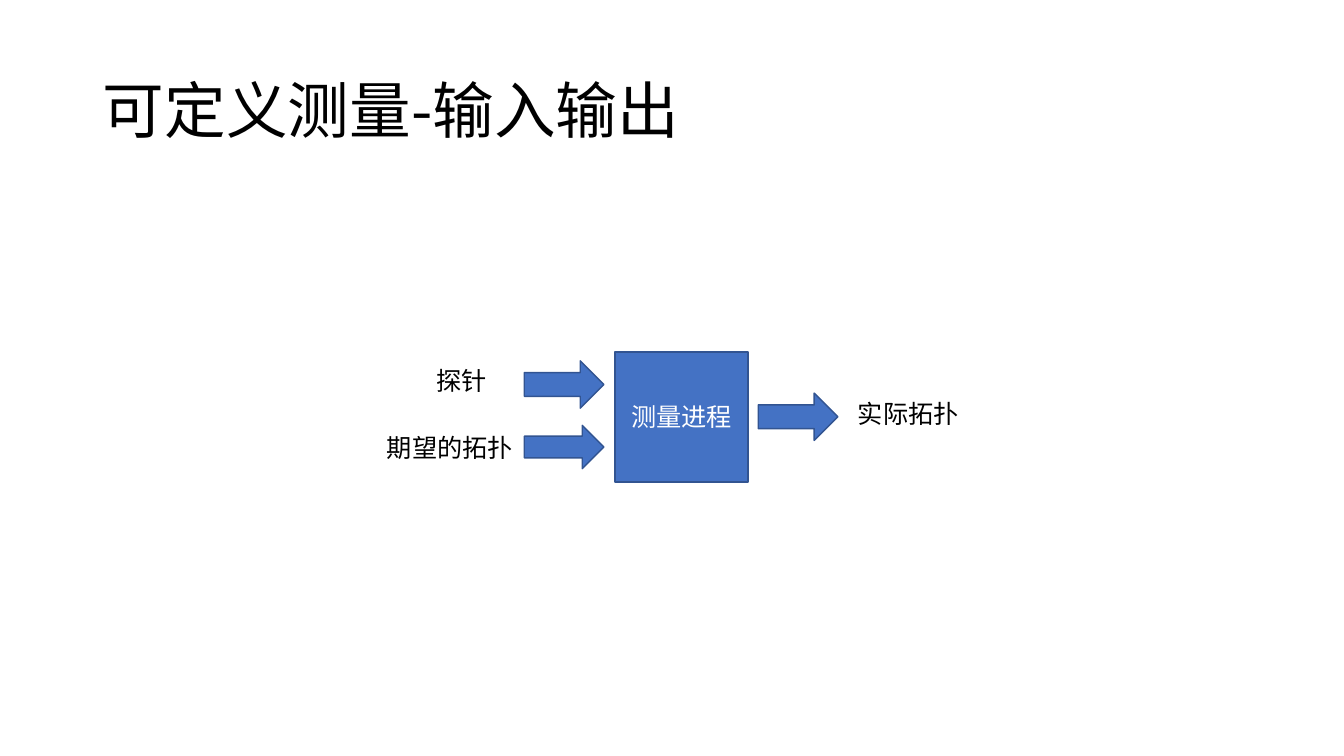
import pptx
import pptx.util
import pptx.dml.color
import pptx.enum.shapes
import pptx.enum.text
import pptx.oxml.ns
import lxml.etree

Inches = pptx.util.Inches
Pt = pptx.util.Pt
RGBColor = pptx.dml.color.RGBColor
MSO_SHAPE = pptx.enum.shapes.MSO_SHAPE
PP_ALIGN = pptx.enum.text.PP_ALIGN
MSO_ANCHOR = pptx.enum.text.MSO_ANCHOR
MSO_AUTO_SIZE = pptx.enum.text.MSO_AUTO_SIZE
qn = pptx.oxml.ns.qn

BLUE = RGBColor(0x44, 0x72, 0xC4)
DARK_BLUE = RGBColor(0x32, 0x54, 0x91)
BLACK = RGBColor(0, 0, 0)
WHITE = RGBColor(255, 255, 255)


class Diagram:
    font = "Noto Sans CJK SC"
    size = 18

    def __init__(self, slide):
        self.slide = slide

    def set_text(self, tf, text, color=BLACK, size=size, align=PP_ALIGN.LEFT):
        p = tf.paragraphs[0]
        p.text = text
        p.alignment = align
        p.font.size = Pt(size)
        p.font.color.rgb = color
        p.font.name = self.font
        # East Asian typeface
        ea = lxml.etree.SubElement(p._p.pPr.find(qn("a:defRPr")), qn("a:ea"))
        ea.set("typeface", self.font)
        return p

    def title(self, text, left, top, width, height):
        sp = self.slide.shapes.title
        sp.left, sp.top = Inches(left), Inches(top)
        sp.width, sp.height = Inches(width), Inches(height)
        tf = sp.text_frame
        tf.word_wrap = True
        tf.vertical_anchor = MSO_ANCHOR.MIDDLE
        self.set_text(tf, text, size=44).line_spacing = 0.9

    def shape(self, kind, left, top, width, height):
        sp = self.slide.shapes.add_shape(
            kind, Inches(left), Inches(top), Inches(width), Inches(height))
        sp.shadow.inherit = False
        sp.fill.solid()
        sp.fill.fore_color.rgb = BLUE
        sp.line.color.rgb = DARK_BLUE
        sp.line.width = Pt(1)
        return sp

    def box(self, text, left, top, width, height):
        tf = self.shape(MSO_SHAPE.RECTANGLE, left, top, width, height).text_frame
        tf.vertical_anchor = MSO_ANCHOR.MIDDLE
        self.set_text(tf, text, WHITE, align=PP_ALIGN.CENTER)

    def arrow(self, left, top, height=0.47):
        self.shape(MSO_SHAPE.RIGHT_ARROW, left, top, 0.79, height)

    def label(self, text, left, top, width):
        tf = self.slide.shapes.add_textbox(
            Inches(left), Inches(top), Inches(width), Inches(0.4)).text_frame
        tf.word_wrap = False
        tf.auto_size = MSO_AUTO_SIZE.SHAPE_TO_FIT_TEXT
        self.set_text(tf, text)


def main():
    prs = pptx.Presentation()
    prs.slide_width, prs.slide_height = Inches(13.33), Inches(7.5)
    s = Diagram(prs.slides.add_slide(prs.slide_layouts[5]))

    s.title("可定义测量-输入输出", 0.92, 0.4, 11.5, 1.45)

    # Measurement process
    s.box("测量进程", 6.1, 3.49, 1.32, 1.29)

    # Inputs
    s.arrow(5.2, 3.58)
    s.label("探针", 4.23, 3.58, 0.71)
    s.arrow(5.2, 4.22, 0.43)
    s.label("期望的拓扑", 3.74, 4.24, 1.46)

    # Output
    s.arrow(7.52, 3.9)
    s.label("实际拓扑", 8.41, 3.9, 1.21)

    prs.save("out.pptx")


if __name__ == "__main__":
    main()
